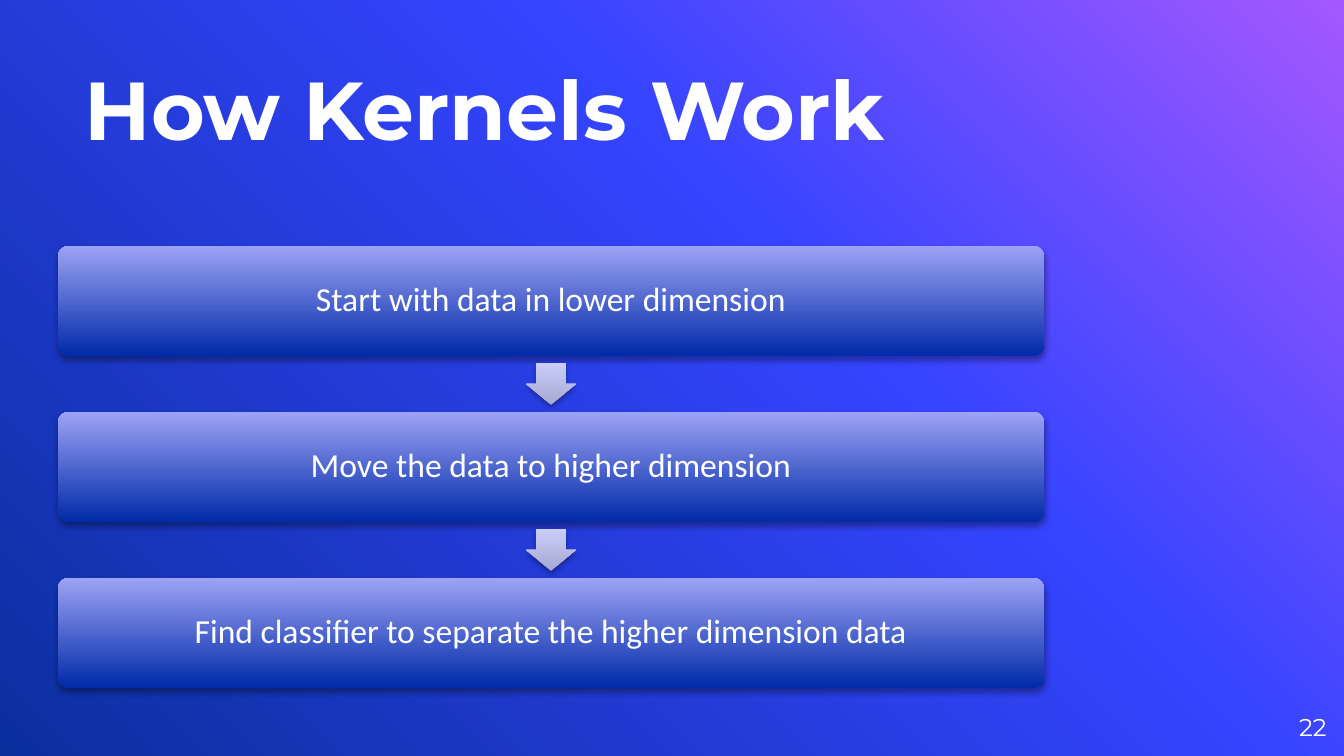
"""Build the "How Kernels Work" slide: three steps joined by down arrows."""
import pptx
import pptx.util
from pptx.dml.color import RGBColor
from pptx.enum.shapes import MSO_SHAPE
from pptx.enum.text import MSO_ANCHOR, PP_ALIGN
from pptx.oxml import parse_xml
from pptx.oxml.ns import nsdecls, qn
from pptx.util import Inches, Pt

TITLE = "How Kernels Work"
STEPS = [
    "Start with data in lower dimension",
    "Move the data to higher dimension",
    "Find classifier to separate the higher dimension data",
]
PAGE_NUMBER = "22"

WHITE = RGBColor(0xFF, 0xFF, 0xFF)
BLACK = RGBColor(0x00, 0x00, 0x00)
VIOLET = RGBColor(0xA4, 0x58, 0xFF)
BLUE = RGBColor(0x35, 0x44, 0xFF)
NAVY = RGBColor(0x0A, 0x2F, 0x9E)
STEP_DARK = RGBColor(0x00, 0x2A, 0xA8)
STEP_LIGHT = RGBColor(0x9D, 0xA3, 0xF5)
ARROW_DARK = RGBColor(0xA6, 0xA9, 0xD1)
ARROW_LIGHT = RGBColor(0xCA, 0xCD, 0xF8)

STEP_LEFT, STEP_WIDTH, STEP_HEIGHT = 0.43, 7.34, 0.82
FIRST_TOP, LAST_TOP = 1.83, 4.3
STEP_PITCH = (LAST_TOP - FIRST_TOP) / (len(STEPS) - 1)
ARROW_WIDTH, ARROW_HEIGHT = 0.37, 0.31


def set_gradient(fill, owner, stops, angle):
    fill.gradient()
    fill.gradient_angle = angle
    stop_list = next(owner.iter(qn("a:gsLst")))
    for old_stop in list(stop_list):
        stop_list.remove(old_stop)
    for percent, color in stops:
        stop_list.append(parse_xml(
            f'<a:gs {nsdecls("a")} pos="{percent * 1000}"><a:srgbClr val="{color}"/></a:gs>'))


def set_text(shape, text, size, font_name, align, anchor, inset=0, bold=False):
    frame = shape.text_frame
    frame.word_wrap = True
    frame.vertical_anchor = anchor
    frame.margin_left = frame.margin_right = Inches(inset)
    frame.margin_top = frame.margin_bottom = Inches(inset)
    frame.text = text
    paragraph = frame.paragraphs[0]
    paragraph.alignment = align
    font = paragraph.runs[0].font
    font.size, font.name, font.bold = Pt(size), font_name, bold
    font.color.rgb = WHITE
    return paragraph


def add_glossy_shape(slide, preset, box, dark, light):
    shape = slide.shapes.add_shape(preset, *map(Inches, box))
    set_gradient(shape.fill, shape.element, [(0, dark), (100, light)], 90)
    shape.line.fill.background()
    shape.shadow.inherit = False
    shape.element.spPr.find(qn("a:effectLst")).append(parse_xml(
        f'<a:outerShdw {nsdecls("a")} blurRad="{Pt(3.1)}" dist="{Pt(1.8)}" dir="5400000" '
        f'rotWithShape="0"><a:srgbClr val="{BLACK}"><a:alpha val="35000"/></a:srgbClr></a:outerShdw>'))
    return shape


def main():
    deck = pptx.Presentation()
    deck.slide_width = Inches(10)
    deck.slide_height = deck.slide_width * 9 // 16
    slide = deck.slides.add_slide(deck.slide_layouts[6])
    set_gradient(slide.background.fill, slide.element,
                 [(0, VIOLET), (39, BLUE), (100, NAVY)], 225)

    title = slide.shapes.add_textbox(*map(Inches, (0.63, 0.23, 7.01, 0.94)))
    set_text(title, TITLE, 44, "Montserrat", PP_ALIGN.LEFT, MSO_ANCHOR.BOTTOM, bold=True)
    page_number = slide.shapes.add_textbox(*map(Inches, (9.27, 5.19, 0.6, 0.43)))
    set_text(page_number, PAGE_NUMBER, 13, "Montserrat", PP_ALIGN.RIGHT, MSO_ANCHOR.MIDDLE)

    arrow_left = STEP_LEFT + (STEP_WIDTH - ARROW_WIDTH) / 2
    arrow_offset = (STEP_HEIGHT + STEP_PITCH - ARROW_HEIGHT) / 2
    for index, label in enumerate(STEPS):
        top = FIRST_TOP + index * STEP_PITCH
        step = add_glossy_shape(slide, MSO_SHAPE.ROUNDED_RECTANGLE,
                                (STEP_LEFT, top, STEP_WIDTH, STEP_HEIGHT),
                                STEP_DARK, STEP_LIGHT)
        step.adjustments[0] = 0.1
        paragraph = set_text(step, label, 18, "Calibri", PP_ALIGN.CENTER,
                             MSO_ANCHOR.MIDDLE, inset=0.1)
        paragraph.line_spacing = 0.9
        if index < len(STEPS) - 1:
            arrow = add_glossy_shape(slide, MSO_SHAPE.DOWN_ARROW,
                                     (arrow_left, top + arrow_offset, ARROW_WIDTH, ARROW_HEIGHT),
                                     ARROW_DARK, ARROW_LIGHT)
            arrow.adjustments[0] = 0.6
            arrow.adjustments[1] = 0.5

    deck.save("out.pptx")


if __name__ == "__main__":
    main()
